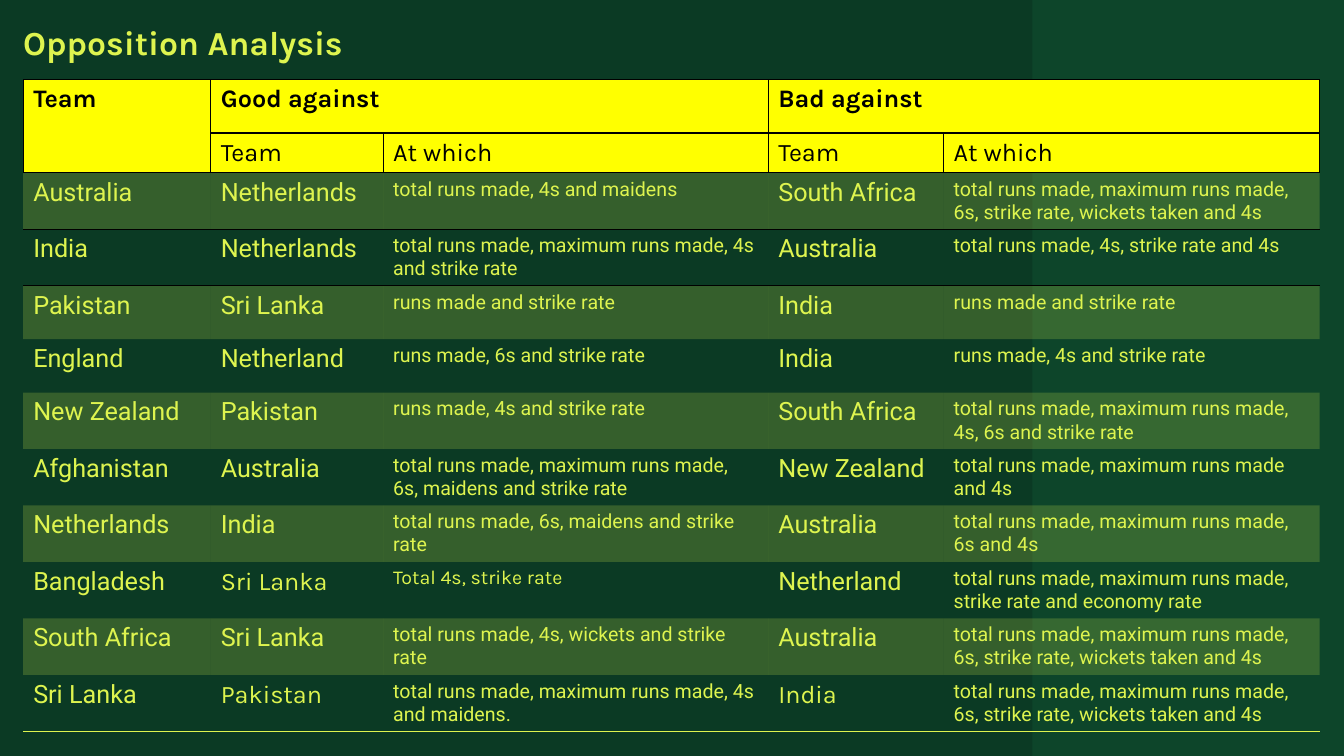
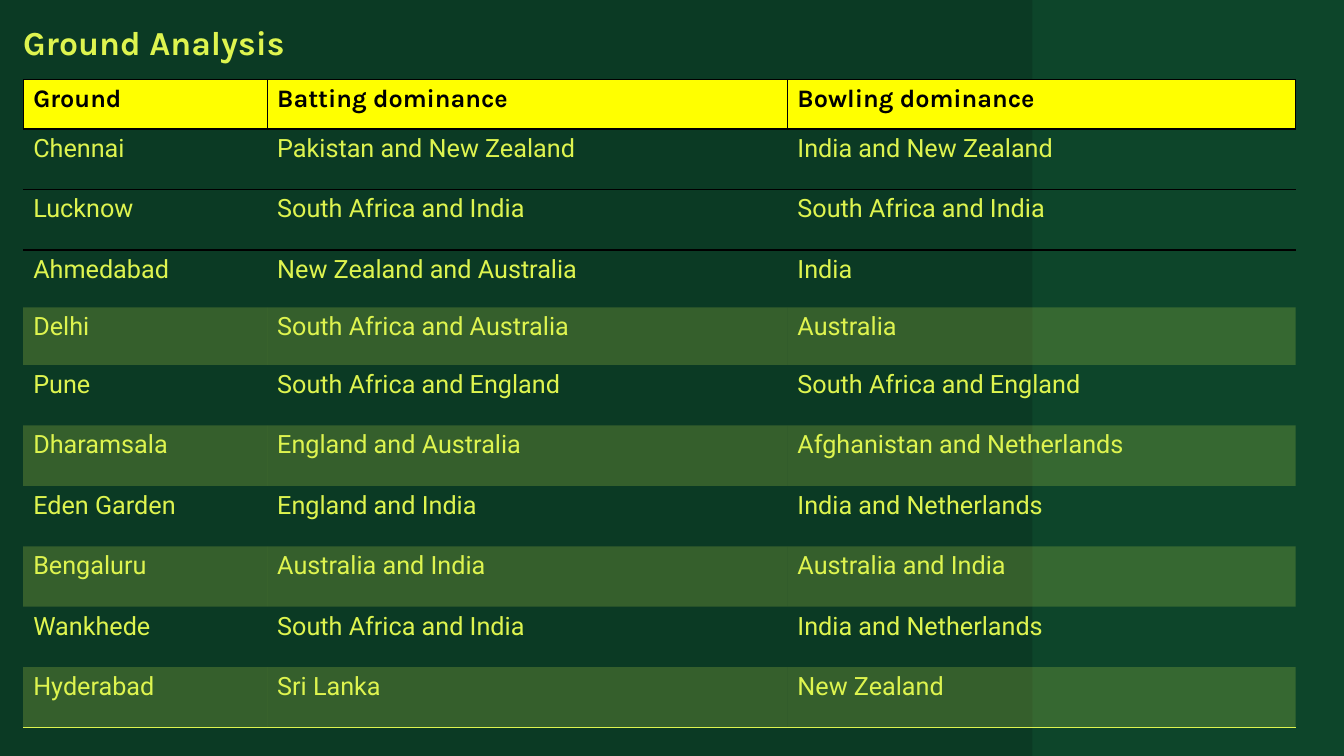
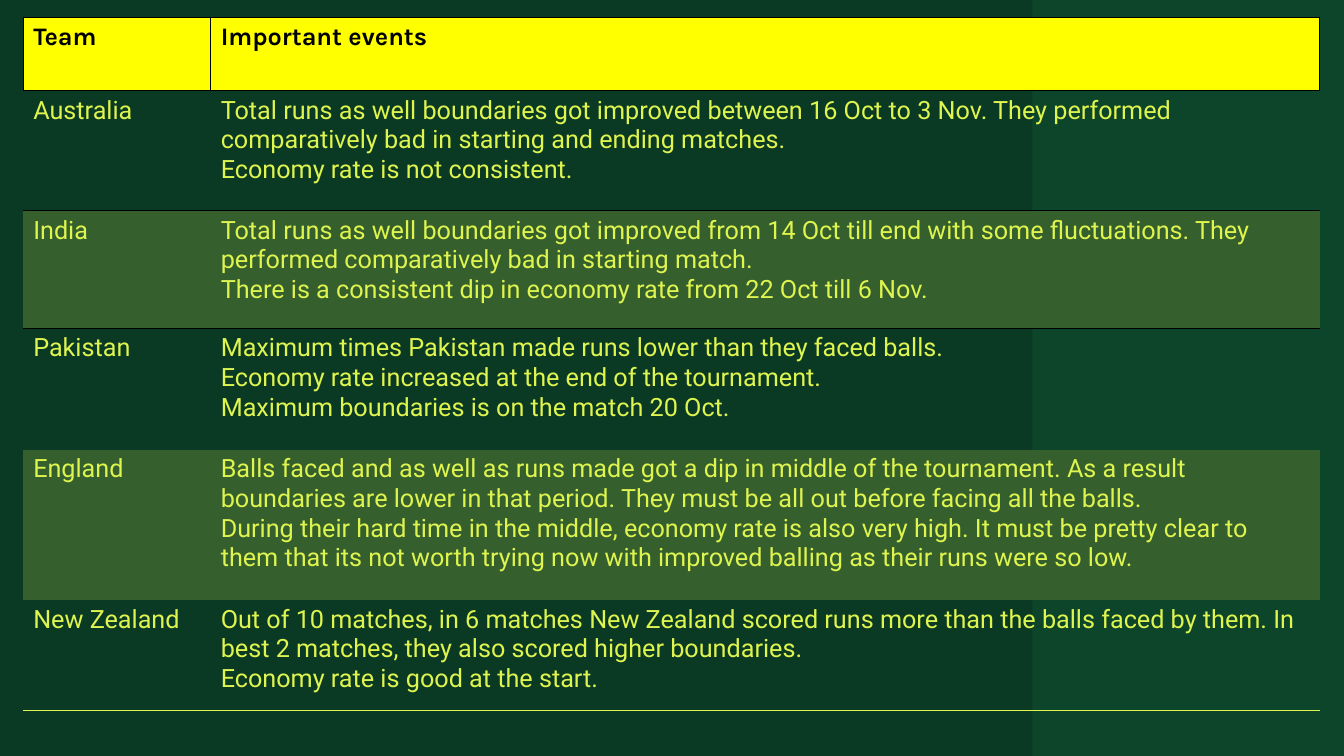
from lxml.etree import SubElement as Sub
from pptx import Presentation
from pptx.dml.color import RGBColor as RGB
from pptx.enum.shapes import MSO_SHAPE as SHAPE
from pptx.enum.text import MSO_ANCHOR as ANCHOR
from pptx.oxml.ns import qn
from pptx.util import Inches, Pt

DARK = RGB(0x0B, 0x3A, 0x24)
GREEN = RGB(0x12, 0x5F, 0x3B)
LIME = RGB(0xDE, 0xF4, 0x4F)
OLIVE = RGB(0x35, 0x5F, 0x2D)
YELLOW = RGB(0xFF, 0xFF, 0x00)
BLACK = RGB(0, 0, 0)
HEAD, BODY = "Karla", "Roboto"
LEFT, WIDE = 0.23, 12.87
PLAIN = "{2D5ABB26-0587-4C30-8999-92F81FD0307C}"
SIDES = ("lnL", "lnR", "lnT", "lnB")

TEAMS = [
    ["Team", "Good against", "", "Bad against", ""],
    ["", "Team", "At which", "Team", "At which"],
    ["Australia", "Netherlands", "total runs made, 4s and maidens",
     "South Africa", "total runs made, maximum runs made, 6s, strike rate, wickets taken and 4s"],
    ["India", "Netherlands", "total runs made, maximum runs made, 4s and strike rate",
     "Australia", "total runs made, 4s, strike rate and 4s"],
    ["Pakistan", "Sri Lanka", "runs made and strike rate",
     "India", "runs made and strike rate"],
    ["England", "Netherland", "runs made, 6s and strike rate",
     "India", "runs made, 4s and strike rate"],
    ["New Zealand", "Pakistan", "runs made, 4s and strike rate",
     "South Africa", "total runs made, maximum runs made, 4s, 6s and strike rate"],
    ["Afghanistan", "Australia", "total runs made, maximum runs made, 6s, maidens and strike rate",
     "New Zealand", "total runs made, maximum runs made and 4s"],
    ["Netherlands", "India", "total runs made, 6s, maidens and strike rate",
     "Australia", "total runs made, maximum runs made, 6s and 4s"],
    ["Bangladesh", "Sri Lanka", "Total 4s, strike rate",
     "Netherland", "total runs made, maximum runs made, strike rate and economy rate"],
    ["South Africa", "Sri Lanka", "total runs made, 4s, wickets and strike rate",
     "Australia", "total runs made, maximum runs made, 6s, strike rate, wickets taken and 4s"],
    ["Sri Lanka", "Pakistan", "total runs made, maximum runs made, 4s and maidens.",
     "India", "total runs made, maximum runs made, 6s, strike rate, wickets taken and 4s"],
]
GROUNDS = [
    ["Ground", "Batting dominance", "Bowling dominance"],
    ["Chennai", "Pakistan and New Zealand", "India and New Zealand"],
    ["Lucknow", "South Africa and India", "South Africa and India"],
    ["Ahmedabad", "New Zealand and Australia", "India"],
    ["Delhi", "South Africa and Australia", "Australia"],
    ["Pune", "South Africa and England", "South Africa and England"],
    ["Dharamsala", "England and Australia", "Afghanistan and Netherlands"],
    ["Eden Garden", "England and India", "India and Netherlands"],
    ["Bengaluru", "Australia and India", "Australia and India"],
    ["Wankhede", "South Africa and India", "India and Netherlands"],
    ["Hyderabad", "Sri Lanka", "New Zealand"],
]
EVENTS = [
    ["Team", "Important events"],
    ["Australia",
     "Total runs as well boundaries got improved between 16 Oct to 3 Nov. They performed "
     "comparatively bad in starting and ending matches.\n"
     "Economy rate is not consistent."],
    ["India",
     "Total runs as well boundaries got improved from 14 Oct till end with some fluctuations. "
     "They performed comparatively bad in starting match.\n"
     "There is a consistent dip in economy rate from 22 Oct till 6 Nov."],
    ["Pakistan",
     "Maximum times Pakistan made runs lower than they faced balls.\n"
     "Economy rate increased at the end of the tournament.\n"
     "Maximum boundaries is on the match 20 Oct."],
    ["England",
     "Balls faced and as well as runs made got a dip in middle of the tournament. As a result "
     "boundaries are lower in that period. They must be all out before facing all the balls.\n"
     "During their hard time in the middle, economy rate is also very high. It must be pretty "
     "clear to them that its not worth trying now with improved balling as their runs were so low."],
    ["New Zealand",
     "Out of 10 matches, in 6 matches New Zealand scored runs more than the balls faced by them. "
     "In best 2 matches, they also scored higher boundaries.\n"
     "Economy rate is good at the start."],
]


def fade(color, amount):
    """Give a solid colour element an opacity in percent."""
    Sub(color, qn("a:alpha"), val=str(amount * 1000))


def style(para, text, size, face, color, bold=False):
    """Add one formatted run to a paragraph."""
    run = para.add_run()
    run.text = text
    font = run.font
    font.size, font.name, font.bold = Pt(size), face, bold
    font.color.rgb = color


def write(cell, text, *look):
    """Write each line of the text as a paragraph of the cell."""
    frame = cell.text_frame
    for i, line in enumerate(text.split("\n") if text else []):
        para = frame.add_paragraph() if i else frame.paragraphs[0]
        style(para, line, *look)


def paint(cell, color, alpha=100):
    """Fill a cell with a colour, or leave it clear for None."""
    if color is None:
        cell.fill.background()
        return
    cell.fill.solid()
    cell.fill.fore_color.rgb = color
    if alpha < 100:
        fade(next(cell.fill._xPr.iter(qn("a:srgbClr"))), alpha)


def edge(cell, lines):
    """Draw one point borders, given as a colour for each side."""
    props = cell._tc.get_or_add_tcPr()
    sides = [side for side in SIDES if side in lines]
    for i, side in enumerate(sides):
        line = Sub(props, qn("a:" + side), w=str(Pt(1)))
        fill = Sub(line, qn("a:solidFill"))
        Sub(fill, qn("a:srgbClr"), val=str(lines[side]))
        props.insert(i, line)


def add_grid(slide, top, cols, rows, data, heads=1, tint=(LIME, 20),
             bands=(), small=(), karla=()):
    """Add a table with yellow head rows and tinted bands."""
    frame = slide.shapes.add_table(
        len(rows), len(cols), Inches(LEFT), Inches(top),
        Inches(sum(cols)), Inches(sum(rows)))
    grid = frame.table
    grid.first_row = grid.horz_banding = False
    next(frame.element.iter(qn("a:tableStyleId"))).text = PLAIN
    for col, width in zip(grid.columns, cols):
        col.width = Inches(width)
    for r, (row, height) in enumerate(zip(grid.rows, rows)):
        row.height = Inches(height)
        for c, cell in enumerate(row.cells):
            lines = {}
            if r < heads:
                write(cell, data[r][c], 18, HEAD, BLACK, r == 0)
                paint(cell, YELLOW)
                lines = dict.fromkeys(SIDES, BLACK)
            else:
                face = HEAD if (r, c) in karla else BODY
                write(cell, data[r][c], 14 if c in small else 18, face, LIME)
                paint(cell, *(tint if r in bands else (None,)))
            if r == heads:
                lines = {"lnT": BLACK, "lnB": BLACK}
            if r == heads + 1:
                lines = {"lnT": BLACK}
            if r == len(rows) - 1:
                lines = {"lnB": LIME}
            edge(cell, lines)
    return grid


def add_title(slide, text):
    """Place and fill the title of a slide."""
    title = slide.shapes.title
    title.left, title.top = Inches(LEFT), Inches(0.1)
    title.width, title.height = Inches(WIDE), Inches(0.69)
    frame = title.text_frame
    frame.margin_left = frame.margin_right = 0
    frame.margin_top = frame.margin_bottom = 0
    frame.vertical_anchor = ANCHOR.MIDDLE
    para = frame.paragraphs[0]
    para.alignment = 1
    para.line_spacing = 0.9
    style(para, text, 24, HEAD, LIME, True)


def set_theme(deck, slide):
    """Give the master its background and the band on the right."""
    master = deck.slide_master
    master.background.fill.solid()
    master.background.fill.fore_color.rgb = DARK
    band = slide.shapes.add_shape(
        SHAPE.RECTANGLE, Inches(10.24), 0, Inches(3.09), Inches(7.5))
    band.shadow.inherit = False
    band.line.fill.background()
    band.fill.solid()
    band.fill.fore_color.rgb = GREEN
    fade(next(band.element.spPr.iter(qn("a:srgbClr"))), 30)
    master.shapes.element.insert(2, band.element)


def main():
    """Build the deck and save it."""
    deck = Presentation()
    deck.slide_width, deck.slide_height = Inches(13.33), Inches(7.5)
    titled, blank = deck.slide_layouts[5], deck.slide_layouts[6]

    slide = deck.slides.add_slide(titled)
    set_theme(deck, slide)
    add_title(slide, "Opposition Analysis")
    grid = add_grid(
        slide, 0.79, [1.86, 1.71, 3.82, 1.74, 3.73],
        [0.53, 0.39] + [0.56] * 2 + [0.53] * 2 + [0.56] * 6, TEAMS, heads=2,
        bands=range(2, 12, 2), small=(2, 4),
        karla=((9, 1), (9, 2), (11, 1), (11, 3)))
    for first, last in (((0, 0), (1, 0)), ((0, 1), (0, 2)), ((0, 3), (0, 4))):
        grid.cell(*first).merge(grid.cell(*last))

    slide = deck.slides.add_slide(titled)
    add_title(slide, "Ground Analysis")
    add_grid(slide, 0.79, [2.42, 5.16, 5.04],
             [0.49] + [0.6] * 2 + [0.57] * 2 + [0.6] * 6, GROUNDS,
             bands=range(4, 11, 2))

    slide = deck.slides.add_slide(blank)
    add_grid(slide, 0.17, [1.86, 11], [0.73, 1.19, 1.17, 1.2, 1.49, 1.1],
             EVENTS, tint=(OLIVE,), bands=(2, 4))
    deck.save("out.pptx")


if __name__ == "__main__":
    main()
